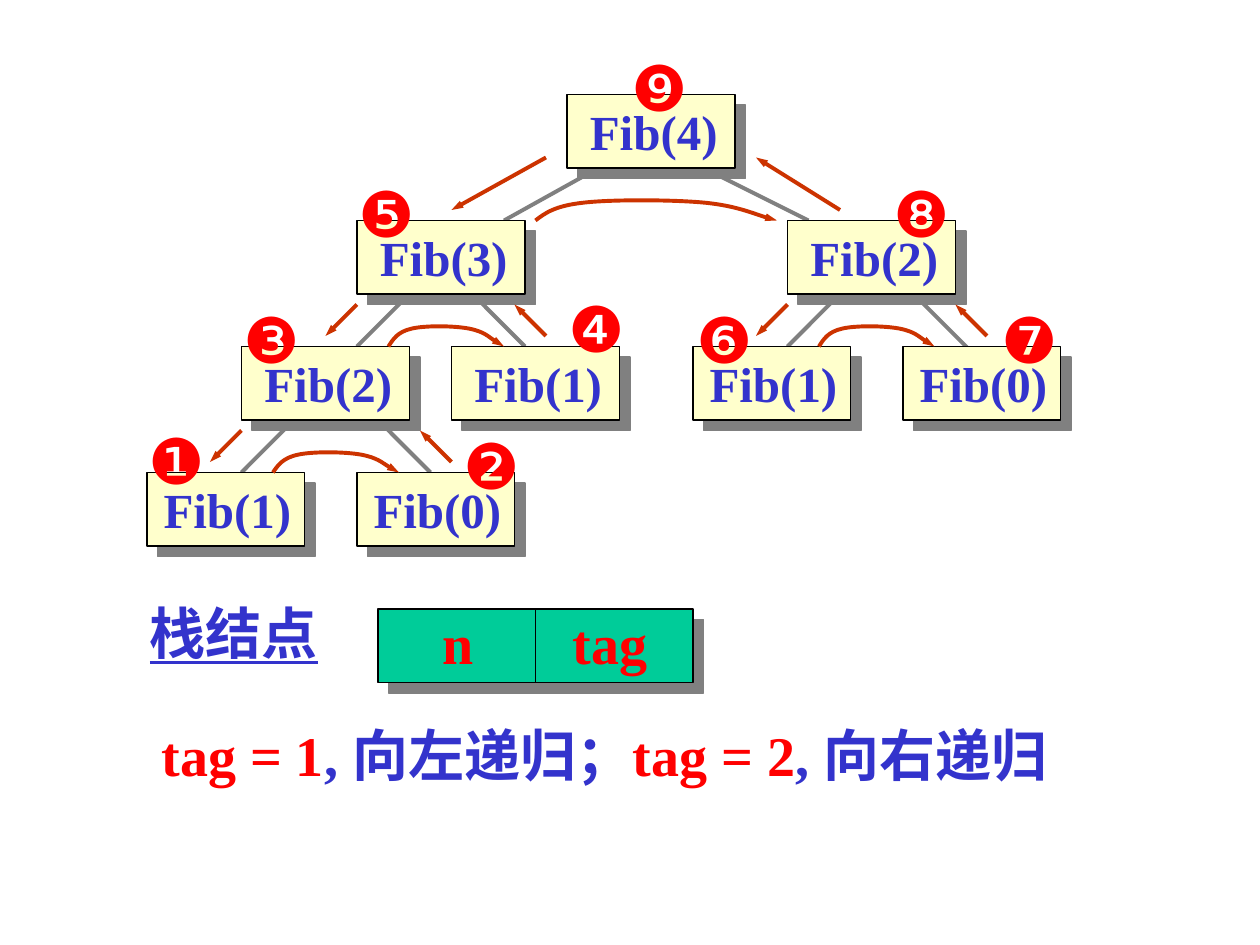
from dataclasses import dataclass

from pptx import Presentation
from pptx.dml.color import RGBColor as Rgb
from pptx.enum.shapes import MSO_CONNECTOR as Connector, MSO_SHAPE as Preset
from pptx.enum.text import MSO_AUTO_SIZE as AutoSize
from pptx.oxml import parse_xml
from pptx.oxml.ns import nsdecls, qn
from pptx.util import Cm, Pt


@dataclass(frozen=True)
class Theme:
    ink: str = "3333CC"
    accent: str = "FF0000"
    node: str = "FFFFCC"
    record: str = "00CC99"
    outline: str = "000000"
    branch: str = "808080"
    step: str = "CC3300"
    shadow: str = "808080"
    serif: str = "Times New Roman"
    sans: str = "Arial"
    node_size: float = 28
    badge_size: float = 36
    note_size: float = 32
    thin: float = 0.75
    thick: float = 2.25


THEME = Theme()
NODE_FONT = {"name": THEME.serif, "size": Pt(THEME.node_size), "bold": True}
NOTE_FONT = {"name": THEME.serif, "size": Pt(THEME.note_size), "bold": True}
HEADING_FONT = {**NOTE_FONT, "underline": True}
BADGE_FONT = {"name": THEME.sans, "size": Pt(THEME.badge_size)}

# Places below are in grid steps, twelve to the inch.
NODE_HEIGHT = 7
NODES = [  # label, left, top, width
    ("Fib(4)", 54, 9, 16),
    ("Fib(3)", 34, 21, 16), ("Fib(2)", 75, 21, 16),
    ("Fib(2)", 23, 33, 16), ("Fib(1)", 43, 33, 16),
    ("Fib(1)", 66, 33, 15), ("Fib(0)", 86, 33, 15),
    ("Fib(1)", 14, 45, 15), ("Fib(0)", 34, 45, 15),
]
BRANCHES = [  # start, end
    ((57, 16), (48, 21)), ((67, 16), (77, 21)),
    ((39, 28), (34, 33)), ((45, 28), (50, 33)),
    ((80, 28), (75, 33)), ((87, 28), (93, 34)),
    ((28, 40), (23, 45)), ((36, 40), (41, 45)),
]
STEPS = [  # calls going down, then returns going up
    ((52, 15), (43, 20)), ((34, 29), (31, 32)),
    ((23, 41), (20, 44)), ((75, 29), (72, 32)),
    ((43, 44), (40, 41)), ((52, 32), (49, 29)),
    ((94, 32), (91, 29)), ((80, 20), (72, 15)),
]
SWEEPS = [(26, 45, 12), (37, 33, 11), (78, 33, 11), (51, 21, 23)]  # left, base, width
SWEEP_HEIGHT = 2
SWEEP_CURVE = [  # Bezier points as shares of width and height
    (0.04, 0.35), (0.08, 0.7), (0.2, 0.85),
    (0.31, 1), (0.56, 1), (0.7, 0.85),
    (0.83, 0.7), (0.95, 0.12), (1, 0),
]
BADGES = [
    ("❶", 13, 39.6), ("❷", 43, 40), ("❸", 22, 28),
    ("❹", 53, 27), ("❺", 33, 16), ("❻", 65.2, 28),
    ("❼", 94.2, 28), ("❽", 83.9, 16), ("❾", 59, 4),
]


def grid(steps):
    return Cm(steps * 2.54 / 12)


def xml(tag, attributes="", children=""):
    return parse_xml(f"<a:{tag} {nsdecls('a')} {attributes}>{children}</a:{tag}>")


class Painter:
    """Holds the theme and the slide that is being filled."""

    def __init__(self, theme, slide):
        self.theme = theme
        self.shapes = slide.shapes

    def stroke(self, shape, color, width, arrow=False):
        shape.line.color.rgb = Rgb.from_string(color)
        shape.line.width = Pt(width)
        if arrow:
            head = xml("tailEnd", 'type="triangle" w="sm" len="med"')
            shape.element.spPr.get_or_add_ln().append(head)

    def line(self, start, end, color, width, arrow=False):
        ends = [grid(value) for value in (*start, *end)]
        connector = self.shapes.add_connector(Connector.STRAIGHT, *ends)
        self.stroke(connector, color, width, arrow)
        connector.element.spPr.append(xml("effectLst"))

    def sweep(self, left, base, width):
        """Draw a curved arrow that leads from one call to its sibling."""
        points = [(grid(left + x * width), grid(base - y * SWEEP_HEIGHT))
                  for x, y in SWEEP_CURVE]
        builder = self.shapes.build_freeform(grid(left), grid(base))
        builder.add_line_segments(points, close=False)
        curve = builder.convert_to_shape()
        curve.shadow.inherit = False
        curve.fill.background()
        self.stroke(curve, self.theme.step, self.theme.thick, arrow=True)
        segments = list(curve.element.iter(qn("a:lnTo")))
        for first in range(0, len(segments), 3):
            bezier = xml("cubicBezTo")
            segments[first].addprevious(bezier)
            for segment in segments[first:first + 3]:
                bezier.append(segment[0])
                segment.getparent().remove(segment)

    def box(self, left, top, width, height, color):
        """Draw an outlined rectangle with a hard shadow."""
        place = [grid(value) for value in (left, top, width, height)]
        box = self.shapes.add_shape(Preset.RECTANGLE, *place)
        box.fill.solid()
        box.fill.fore_color.rgb = Rgb.from_string(color)
        self.stroke(box, self.theme.outline, self.theme.thin)
        box.shadow.inherit = False
        box.element.spPr.find(qn("a:effectLst")).append(xml(
            "outerShdw",
            f'dist="{Pt(8.5)}" dir="2700000" algn="ctr" rotWithShape="0"',
            f'<a:srgbClr val="{self.theme.shadow}"/>'))

    def text(self, place, parts, font_format):
        """Write parts, pairs of wording and colour, on one line."""
        box = self.shapes.add_textbox(*[grid(value) for value in place])
        frame = box.text_frame
        frame.word_wrap = False
        frame.auto_size = AutoSize.SHAPE_TO_FIT_TEXT
        para = frame.paragraphs[0]
        for wording, color in parts:
            span = para.add_run()
            span.text = wording
            for name, value in font_format.items():
                setattr(span.font, name, value)
            span.font.color.rgb = Rgb.from_string(color)
        return para

    def node(self, label, left, top, width):
        self.box(left, top, width, NODE_HEIGHT, self.theme.node)
        indent = 1 if width == 16 else 0.4
        self.text((left + indent, top + 0.12, 14.7, 6.8),
                  [(label, self.theme.ink)], NODE_FONT)

    def badge(self, symbol, left, top):
        self.text((left, top, 7.9, 8.4), [(symbol, self.theme.accent)], BADGE_FONT)

    def record(self):
        """Draw the two-field stack record and its heading."""
        self.text((13.1, 56.4, 18.4, 7.7), [("栈结点", self.theme.ink)], HEADING_FONT)
        self.box(36, 58, 30, NODE_HEIGHT, self.theme.record)
        self.line((51, 58), (51, 65), self.theme.outline, self.theme.thin)
        fields = self.text((41, 57.4, 22, 7.7),
                           [("n\ttag", self.theme.accent)], NOTE_FONT)
        stop = f'<a:tab pos="{Cm(2.62)}" algn="l"/>'
        fields._p.get_or_add_pPr().append(xml("tabLst", children=stop))


def main():
    deck = Presentation()
    deck.slide_width, deck.slide_height = Cm(25.4), Cm(19.05)
    page = deck.slides.add_slide(deck.slide_layouts[6])
    painter = Painter(THEME, page)
    for start, end in BRANCHES:
        painter.line(start, end, THEME.branch, THEME.thick)
    for node in NODES:
        painter.node(*node)
    for badge in BADGES:
        painter.badge(*badge)
    for start, end in STEPS:
        painter.line(start, end, THEME.step, THEME.thick, arrow=True)
    for sweep in SWEEPS:
        painter.sweep(*sweep)
    painter.record()
    painter.text((14.2, 68, 91, 7.7), [
        ("tag = 1", THEME.accent), (", 向左递归；", THEME.ink),
        ("tag = 2", THEME.accent), (", 向右递归", THEME.ink),
    ], NOTE_FONT)
    deck.save("out.pptx")


if __name__ == "__main__":
    main()
